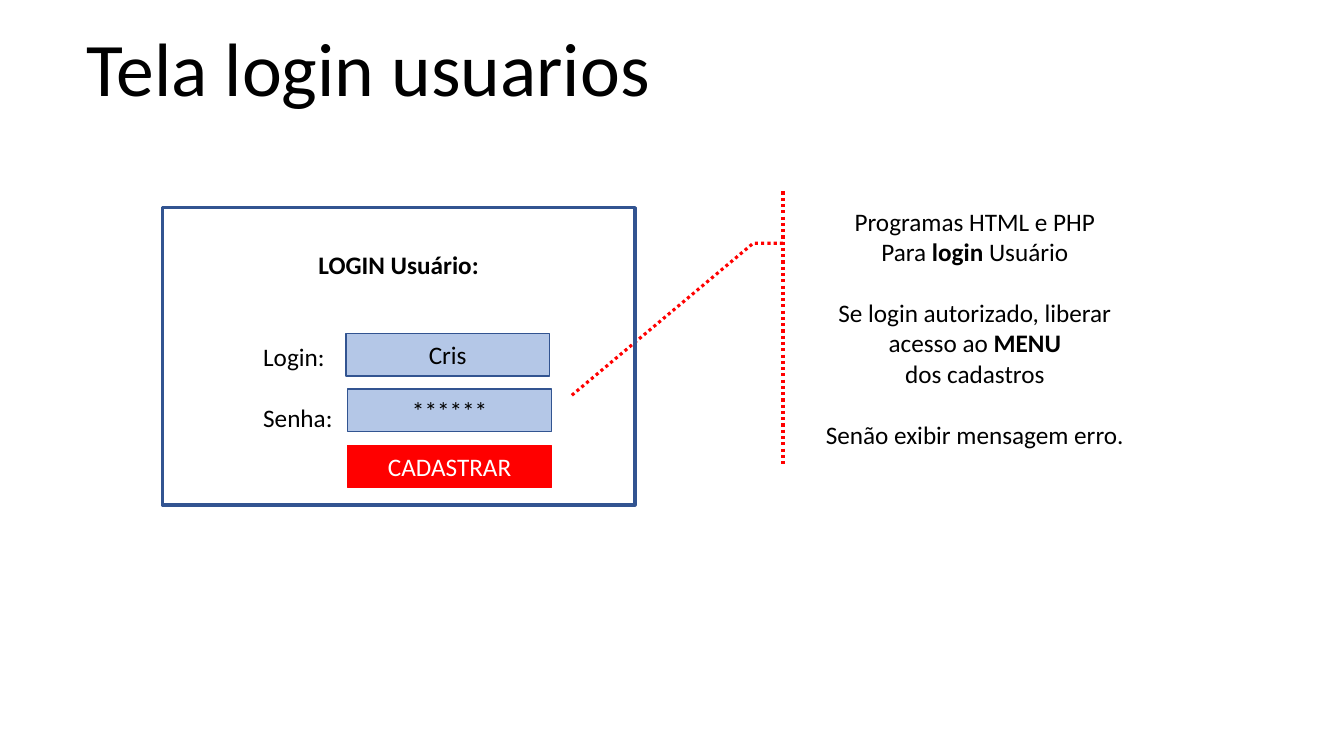
from dataclasses import dataclass
from typing import Optional

from pptx import Presentation
from pptx.dml.color import RGBColor
from pptx.enum.dml import MSO_LINE
from pptx.enum.shapes import MSO_SHAPE
from pptx.enum.text import MSO_ANCHOR, PP_ALIGN
from pptx.util import Pt

COLORS = {
    "ink": "000000",
    "white": "FFFFFF",
    "red": "FF0000",
    "navy": "325491",
    "field": "B4C7E7",
}
FONT = "Calibri"
BLANK_LINE = 22
LABEL_INDENT = 65


@dataclass(frozen=True)
class Span:
    text: str
    bold: bool = False


@dataclass(frozen=True)
class Line:
    spans: tuple[Span, ...]
    blank_lines_before: int = 0
    indent: float = 0


@dataclass(frozen=True)
class Block:
    left: float
    top: float
    width: float
    height: float
    lines: tuple[Line, ...]
    outline: str
    outline_width: float = 1
    fill: Optional[str] = None
    ink: str = "ink"
    kind: MSO_SHAPE = MSO_SHAPE.RECTANGLE
    adjustments: tuple[float, ...] = ()
    dash: Optional[MSO_LINE] = None
    bottom_inset: float = 3.6


def color(name: str) -> RGBColor:
    return RGBColor.from_string(COLORS[name])


def plain(text: str) -> tuple[Line, ...]:
    return (Line((Span(text),)),)


def field(left: float, top: float, text: str, fill: str = "field",
          outline: str = "navy", ink: str = "ink") -> Block:
    return Block(left, top, 145.5, 30.25, plain(text), outline, fill=fill, ink=ink)


def write_line(para, line: Line, ink: str) -> None:
    para.font.name = FONT
    para.font.size = Pt(18)
    para.font.color.rgb = color(ink)
    para.space_before = Pt(line.blank_lines_before * BLANK_LINE)
    para.alignment = PP_ALIGN.LEFT if line.indent else PP_ALIGN.CENTER
    if line.indent:
        para._p.get_or_add_pPr().set("marL", str(Pt(line.indent)))
    for span in line.spans:
        run = para.add_run()
        run.text = span.text
        run.font.bold = span.bold


def draw_block(page, block: Block) -> None:
    shape = page.shapes.add_shape(block.kind, Pt(block.left), Pt(block.top),
                                  Pt(block.width), Pt(block.height))
    shape.shadow.inherit = False
    for index, value in enumerate(block.adjustments):
        shape.adjustments[index] = value
    if block.fill:
        shape.fill.solid()
        shape.fill.fore_color.rgb = color(block.fill)
    else:
        shape.fill.background()
    shape.line.color.rgb = color(block.outline)
    shape.line.width = Pt(block.outline_width)
    if block.dash:
        shape.line.dash_style = block.dash
    frame = shape.text_frame
    frame.word_wrap = True
    frame.vertical_anchor = MSO_ANCHOR.MIDDLE
    frame.margin_bottom = Pt(block.bottom_inset)
    for index, line in enumerate(block.lines):
        para = frame.add_paragraph() if index else frame.paragraphs[0]
        write_line(para, line, block.ink)


def draw_title(page, text: str) -> None:
    box = page.shapes.add_textbox(Pt(54.7), Pt(24.5), Pt(720), Pt(56.9))
    frame = box.text_frame
    frame.word_wrap = True
    frame.vertical_anchor = MSO_ANCHOR.BOTTOM
    para = frame.paragraphs[0]
    para.text = text
    para.line_spacing = 0.7
    para.font.name = FONT
    para.font.size = Pt(54)
    para.font.color.rgb = color("ink")


CALLOUT = Block(
    578.2, 136.8, 236.2, 194.4,
    (
        Line((Span("Programas HTML e PHP"),)),
        Line((Span("Para "), Span("login", True), Span(" Usuário"))),
        Line((Span("Se login autorizado, liberar acesso ao "), Span("MENU", True)), 1),
        Line((Span("dos cadastros"),)),
        Line((Span("Senão exibir mensagem erro."),), 1),
    ),
    "red", 2.25, kind=MSO_SHAPE.LINE_CALLOUT_2_ACCENT_BAR,
    adjustments=(0.19, -0.08, 0.19, -0.17, 0.75, -0.72),
    dash=MSO_LINE.ROUND_DOT,
)
LOGIN_PANEL = Block(
    115.9, 148.3, 337.7, 212.4,
    (
        Line((Span("LOGIN Usuário:", True),)),
        Line((Span("Login:"),), 2, LABEL_INDENT),
        Line((Span("Senha:"),), 1, LABEL_INDENT),
    ),
    "navy", 2.25, bottom_inset=3.6 + BLANK_LINE,
)
BLOCKS = (
    CALLOUT,
    LOGIN_PANEL,
    field(247, 238.3, "Cris"),
    field(248.4, 277.9, "******"),
    field(248.4, 318.2, "CADASTRAR", "red", "red", "white"),
)


def main() -> None:
    deck = Presentation()
    deck.slide_width = Pt(960)
    deck.slide_height = Pt(540)
    page = deck.slides.add_slide(deck.slide_layouts[6])
    draw_title(page, "Tela login usuarios")
    for block in BLOCKS:
        draw_block(page, block)
    deck.save("out.pptx")


if __name__ == "__main__":
    main()
